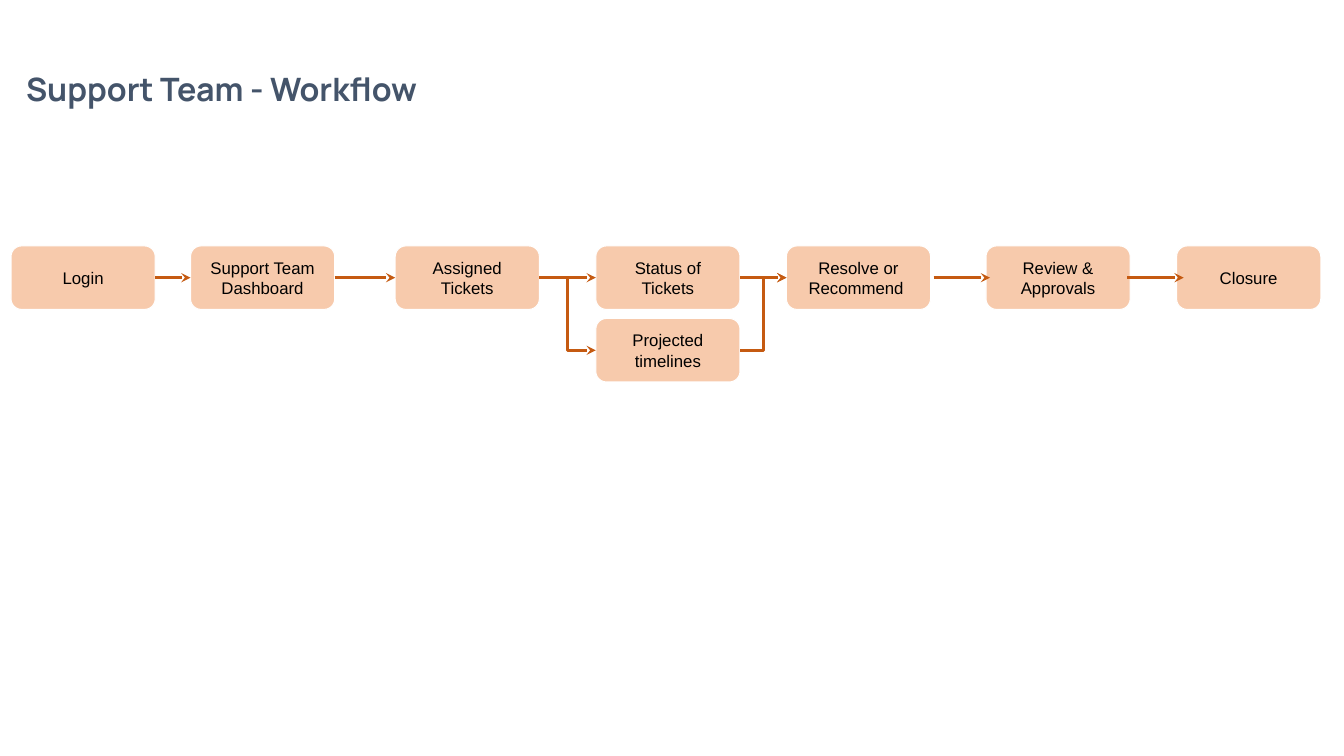
from dataclasses import dataclass

from lxml.etree import SubElement
from pptx import Presentation
from pptx.dml.color import RGBColor
from pptx.enum.shapes import MSO_CONNECTOR as Link, MSO_SHAPE as Preset
from pptx.enum.text import MSO_ANCHOR as Anchor, MSO_AUTO_SIZE as AutoSize, PP_ALIGN as Align
from pptx.oxml.ns import qn
from pptx.shapes.autoshape import Shape
from pptx.shapes.connector import Connector
from pptx.slide import Slide
from pptx.text.text import TextFrame
from pptx.util import Pt

PX = 9144  # 100 px to the inch
LEFT, RIGHT = 1, 3  # connection sites


@dataclass(frozen=True)
class Theme:
    title: RGBColor = RGBColor(0x44, 0x54, 0x6A)
    box: RGBColor = RGBColor(0xF7, 0xCA, 0xAC)
    border: RGBColor = RGBColor(0xFF, 0xFF, 0xFF)
    text: RGBColor = RGBColor(0x00, 0x00, 0x00)
    arrow: RGBColor = RGBColor(0xC5, 0x5A, 0x11)
    title_font: str = "Manrope"
    body_font: str = "Arial"
    title_size: int = 23
    body_size: int = 12
    border_width: float = 0.75
    arrow_width: float = 2.25


@dataclass(frozen=True)
class Step:
    label: str
    left: int
    row: int = 0


@dataclass(frozen=True)
class Flow:
    source: str
    target: str


THEME = Theme()
BOX_WIDTH, BOX_HEIGHT = 143, 63
ROW_TOP, ROW_PITCH = 244, 72

STEPS = [
    Step("Login", 11),
    Step("Support Team Dashboard", 189),
    Step("Assigned Tickets", 392),
    Step("Status of Tickets", 591),
    Step("Projected timelines", 591, row=1),
    Step("Resolve or Recommend ", 780),
    Step("Review & Approvals", 978),
    Step("Closure", 1167),
]
FLOWS = [
    Flow("Login", "Support Team Dashboard"),
    Flow("Support Team Dashboard", "Assigned Tickets"),
    Flow("Assigned Tickets", "Status of Tickets"),
    Flow("Assigned Tickets", "Projected timelines"),
    Flow("Status of Tickets", "Resolve or Recommend "),
    Flow("Projected timelines", "Resolve or Recommend "),
]
# The last arrows float free of the box sides
FREE_ARROW_STARTS = [926, 1118]
FREE_ARROW_LENGTH = 56


def write(frame: TextFrame, text: str, frame_format: dict, font_format: dict,
          color: RGBColor, align: Align) -> None:
    for name, value in frame_format.items():
        setattr(frame, name, value)
    para = frame.paragraphs[0]
    para.alignment = align
    span = para.add_run()
    span.text = text
    for name, value in font_format.items():
        setattr(span.font, name, value)
    span.font.color.rgb = color


def add_title(page: Slide, text: str) -> None:
    box = page.shapes.add_textbox(16 * PX, 63 * PX, 460 * PX, 49 * PX)
    write(box.text_frame, text,
          {"word_wrap": True, "vertical_anchor": Anchor.BOTTOM,
           "auto_size": AutoSize.SHAPE_TO_FIT_TEXT},
          {"name": THEME.title_font, "size": Pt(THEME.title_size), "bold": True},
          THEME.title, Align.LEFT)


def add_step(page: Slide, step: Step) -> Shape:
    top = ROW_TOP + step.row * ROW_PITCH
    box = page.shapes.add_shape(Preset.ROUNDED_RECTANGLE, step.left * PX, top * PX,
                                BOX_WIDTH * PX, BOX_HEIGHT * PX)
    box.shadow.inherit = False
    box.fill.solid()
    box.fill.fore_color.rgb = THEME.box
    box.line.color.rgb = THEME.border
    box.line.width = Pt(THEME.border_width)
    margins = {f"margin_{side}": 10 * PX for side in ("left", "top", "right", "bottom")}
    write(box.text_frame, step.label,
          {"word_wrap": True, "vertical_anchor": Anchor.MIDDLE, **margins},
          {"name": THEME.body_font, "size": Pt(THEME.body_size)},
          THEME.text, Align.CENTER)
    return box


def add_arrow(page: Slide, kind: Link, start: int, end: int, height: int) -> Connector:
    arrow = page.shapes.add_connector(kind, start, height, end, height)
    arrow.line.color.rgb = THEME.arrow
    arrow.line.width = Pt(THEME.arrow_width)
    SubElement(arrow.line._get_or_add_ln(), qn("a:tailEnd"), type="stealth")
    SubElement(arrow._element.spPr, qn("a:effectLst"))
    return arrow


def join(page: Slide, source: Shape, target: Shape) -> None:
    kind = Link.STRAIGHT if source.top == target.top else Link.ELBOW
    arrow = add_arrow(page, kind, source.left + source.width, target.left,
                      source.top + source.height // 2)
    arrow.begin_connect(source, RIGHT)
    arrow.end_connect(target, LEFT)


def main() -> None:
    deck = Presentation()
    deck.slide_width, deck.slide_height = 1333 * PX, 750 * PX
    page = deck.slides.add_slide(deck.slide_layouts[6])

    # Title
    add_title(page, "Support Team - Workflow")

    # Steps
    boxes = {step.label: add_step(page, step) for step in STEPS}

    # Arrows
    for flow in FLOWS:
        join(page, boxes[flow.source], boxes[flow.target])
    middle = ROW_TOP * PX + BOX_HEIGHT * PX // 2
    for start in FREE_ARROW_STARTS:
        add_arrow(page, Link.STRAIGHT, start * PX, (start + FREE_ARROW_LENGTH) * PX, middle)

    deck.save("out.pptx")


if __name__ == "__main__":
    main()
